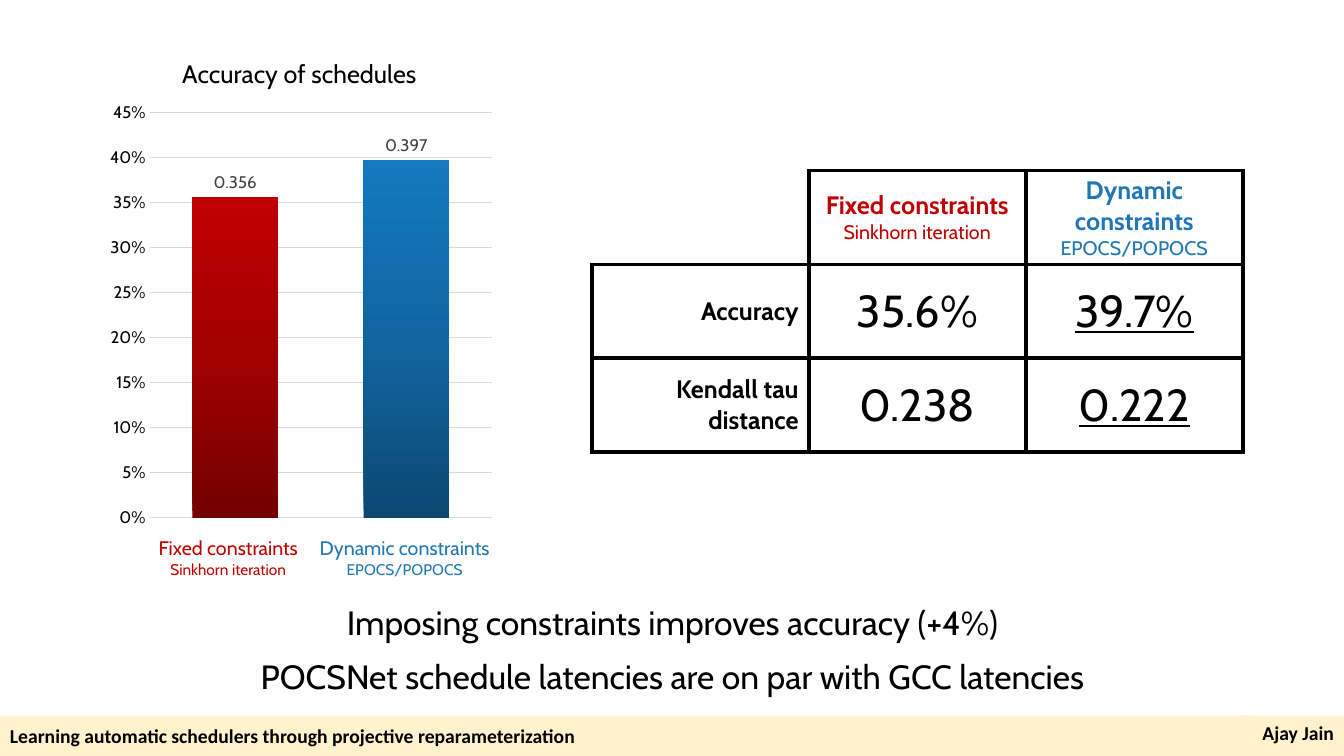
from copy import deepcopy

from pptx import Presentation
from pptx import util as u
from pptx.chart.data import CategoryChartData
from pptx.dml.color import RGBColor
from pptx.enum import chart as charts, shapes, text
from pptx.oxml import parse_xml
from pptx.oxml.ns import nsdecls, qn

BLACK, RED, BLUE, CREAM = "000000", "C00000", "1F77B4", "FFF2CC"
LEFT, CENTER, RIGHT = text.PP_ALIGN.LEFT, text.PP_ALIGN.CENTER, text.PP_ALIGN.RIGHT
FIXED = ("Fixed constraints", "Sinkhorn iteration", RED)
DYNAMIC = ("Dynamic constraints", "EPOCS/POPOCS", BLUE)


def rgb(hex_colour):
    return RGBColor.from_string(hex_colour)


def assign(target, values):
    for name, value in values.items():
        setattr(target, name, value)


def style_font(font, size, colour=BLACK, **values):
    font.color.rgb = rgb(colour)
    assign(font, {"name": "Cabin", "size": u.Pt(size), **values})


def place(parent, index, x, y, w=None, h=None):
    """Give a chart part a manual layout, in shares of the chart."""
    for old in parent.findall(qn("c:layout")):
        parent.remove(old)
    target = '<c:layoutTarget val="inner"/>' if w else ""
    parts = {"xMode": "edge", "yMode": "edge", "x": x, "y": y, "w": w, "h": h}
    marks = "".join(f'<c:{k} val="{v}"/>' for k, v in parts.items() if v is not None)
    parent.insert(index, parse_xml(
        f'<c:layout {nsdecls("c")}><c:manualLayout>{target}{marks}</c:manualLayout></c:layout>'))


def set_borders(cell, hidden=()):
    """Draw 3 pt black sides; must run before the cell fill is set."""
    props = cell._tc.get_or_add_tcPr()
    for side in "LRTB":
        paint = ("<a:noFill/>" if side in hidden else
                 f'<a:solidFill><a:srgbClr val="{BLACK}"/></a:solidFill>')
        props.append(parse_xml(
            f'<a:ln{side} {nsdecls("a")} w="{u.Pt(3)}">{paint}</a:ln{side}>'))


def paint_gradient(series, colours):
    """Fill a series from bottom to top with three colours."""
    fill = series.format.fill
    fill.gradient()
    fill.gradient_angle = 90
    stops = series._element.find(".//" + qn("a:gsLst"))
    stops.append(deepcopy(stops[-1]))
    for stop, position, colour in zip(fill.gradient_stops, (0, 0.5, 1), colours):
        stop.position = position
        stop.color.rgb = rgb(colour)


class Slide:
    """One slide on a grid of 40 columns and 30 rows."""

    COLUMNS, ROWS = 40, 30

    def __init__(self, deck):
        self.column = deck.slide_width / self.COLUMNS
        self.row = deck.slide_height / self.ROWS
        self.shapes = deck.slides.add_slide(deck.slide_layouts[6]).shapes

    def box(self, x, y, w, h):
        return [int(n) for n in (x * self.column, y * self.row,
                                 w * self.column, h * self.row)]

    def set_lines(self, frame, lines, align=CENTER, gap=0):
        """Set (words, size, colour, font values) lines as paragraphs."""
        frame.word_wrap = True
        for i, (words, size, colour, values) in enumerate(lines):
            paragraph = frame.add_paragraph() if i else frame.paragraphs[0]
            assign(paragraph, {"alignment": align, "space_before": u.Pt(gap)})
            run = paragraph.add_run()
            run.text = words
            style_font(run.font, size, colour, **values)

    def text(self, spot, lines, gap=0):
        self.set_lines(self.shapes.add_textbox(*self.box(*spot)).text_frame, lines, gap=gap)

    def band(self, spot, words, align, anchor):
        band = self.shapes.add_shape(shapes.MSO_SHAPE.RECTANGLE, *self.box(*spot))
        band.shadow.inherit = False
        band.fill.solid()
        band.fill.fore_color.rgb = rgb(CREAM)
        band.line.fill.background()
        band.text_frame.vertical_anchor = anchor
        self.set_lines(band.text_frame,
                       [(words, 14, BLACK, {"name": "Calibri", "bold": True})], align)

    def bar_chart(self, spot, title, values, gradients):
        data = CategoryChartData()
        data.categories = ["1"]
        for i, value in enumerate(values, 1):
            data.add_series(f"Series {i}", [value])
        chart = self.shapes.add_chart(
            charts.XL_CHART_TYPE.COLUMN_CLUSTERED, *self.box(*spot), data).chart
        style_font(chart.font, 10)
        chart.has_legend = False
        self.set_lines(chart.chart_title.text_frame, [(title, 18, BLACK, {"bold": False})])
        chart.chart_title.include_in_layout = False
        place(chart.chart_title._element, 1, 0.19, 0.04)
        place(chart._chartSpace.chart.plotArea, 0, 0.12, 0.16, 0.86, 0.8)

        chart.category_axis.visible = False
        axis = chart.value_axis
        assign(axis, {"minimum_scale": 0, "maximum_scale": 0.45, "major_unit": 0.05,
                      "major_tick_mark": charts.XL_TICK_MARK.NONE})
        assign(axis.tick_labels, {"number_format": "0%", "number_format_is_linked": False})
        style_font(axis.tick_labels.font, 12)
        axis.format.line.fill.background()
        grid = axis.major_gridlines.format.line
        grid.color.rgb = rgb("D9D9D9")
        grid.width = u.Pt(0.75)

        plot = chart.plots[0]
        assign(plot, {"gap_width": 100, "overlap": -100,
                      "vary_by_categories": False, "has_data_labels": True})
        assign(plot.data_labels, {"show_value": True,
                                  "position": charts.XL_LABEL_POSITION.OUTSIDE_END})
        style_font(plot.data_labels.font, 12, "404040")
        for series, colours in zip(plot.series, gradients):
            paint_gradient(series, colours)

    def table(self, spot, rows):
        """Place rows of line lists; the first column is right-aligned."""
        table = self.shapes.add_table(len(rows), len(rows[0]), *self.box(*spot)).table
        assign(table, {"first_row": False, "horz_banding": False})
        for r, row in enumerate(rows):
            for c, lines in enumerate(row):
                cell = table.cell(r, c)
                set_borders(cell, "" if r or c else "LT")
                cell.fill.background()
                cell.vertical_anchor = text.MSO_ANCHOR.MIDDLE
                self.set_lines(cell.text_frame, lines, CENTER if c else RIGHT)


def method_lines(method, name_size, detail_size, bold=False):
    name, detail, colour = method
    return [(name, name_size, colour, {"bold": bold}),
            (detail, detail_size, colour, {"bold": False})]


def result_row(measure, fixed, dynamic):
    return [[(measure, 18, BLACK, {"bold": True})],
            [(fixed, 32, BLACK, {"bold": False})],
            [(dynamic, 32, BLACK, {"bold": False, "underline": True})]]


def main():
    deck = Presentation()
    deck.slide_width, deck.slide_height = u.Inches(13.33), u.Inches(7.5)
    slide = Slide(deck)

    findings = ("Imposing constraints improves accuracy (+4%)",
                "POCSNet schedule latencies are on par with GCC latencies")
    slide.text((2.76, 23.68, 34.5, 5), [(f, 24, BLACK, {}) for f in findings], gap=10)

    slide.band((0, 28.4, 37.26, 1.6),
               "Learning automatic schedulers through projective reparameterization",
               LEFT, text.MSO_ANCHOR.MIDDLE)
    slide.band((36.84, 28.4, 3.16, 1.6), "Ajay Jain", RIGHT, text.MSO_ANCHOR.TOP)

    slide.bar_chart((3.03, 1.24, 11.85, 20.12), "Accuracy of schedules", (0.356, 0.397),
                    (("720000", "A20000", "C00000"), ("0C4871", "1166A1", "1479BF")))
    for x, method in ((3.72, FIXED), (8.97, DYNAMIC)):
        slide.text((x, 21.08, 6.15, 2.16), method_lines(method, 14, 11))

    slide.table((17.61, 6.76, 19.38, 11.16), [
        [[], method_lines(FIXED, 18, 14, True), method_lines(DYNAMIC, 18, 14, True)],
        result_row("Accuracy", "35.6%", "39.7%"),
        result_row("Kendall tau distance", "0.238", "0.222"),
    ])
    deck.save("out.pptx")


if __name__ == "__main__":
    main()
